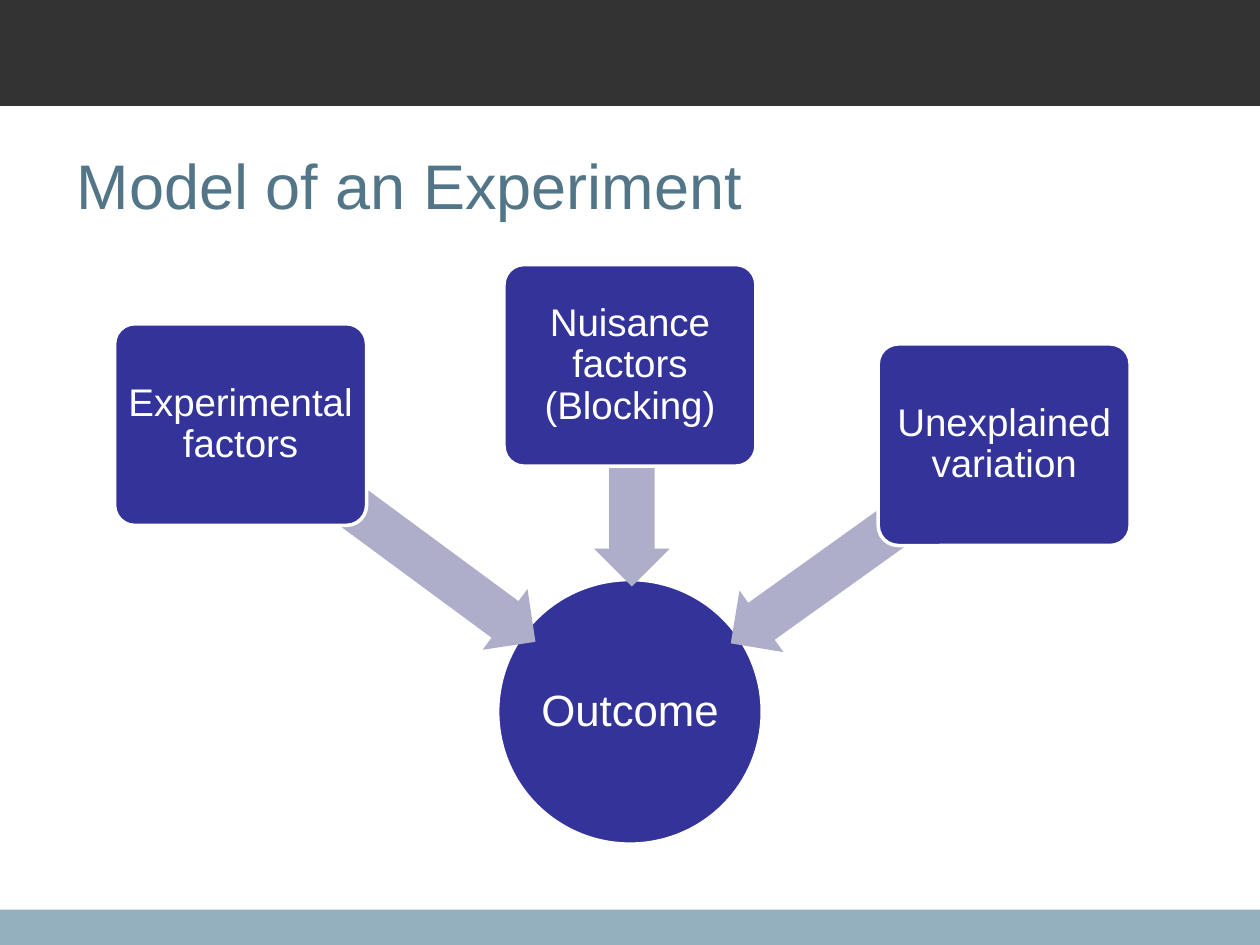
from pptx import Presentation
from pptx.dml.color import RGBColor
from pptx.enum.shapes import MSO_SHAPE as Shape
from pptx.enum.text import MSO_ANCHOR as Anchor, PP_ALIGN as Align
from pptx.util import Inches, Pt

TITLE_ONLY = 5


def color(hex_value):
    return RGBColor.from_string(hex_value)


class SlideBuilder:
    FONT = "Arial"
    WHITE, NAVY, LAVENDER = "FFFFFF", "333399", "AEAECA"
    CHARCOAL, MIST, TEAL = "333333", "94B0BE", "527688"

    def __init__(self, presentation):
        self.slide = presentation.slides.add_slide(
            presentation.slide_layouts[TITLE_ONLY])

    def add_shape(self, kind, position, fill, outline=None, adjustments=()):
        shape = self.slide.shapes.add_shape(kind, *map(Inches, position))
        shape.shadow.inherit = False
        shape.fill.solid()
        shape.fill.fore_color.rgb = color(fill)
        if outline:
            shape.line.color.rgb = color(outline)
            shape.line.width = Pt(2)
        else:
            shape.line.fill.background()
        for index, value in enumerate(adjustments):
            shape.adjustments[index] = value
        return shape

    def set_text(self, shape, text, size, text_color, align, spacing=1.0, inset=0.1):
        frame = shape.text_frame
        frame_format = {"word_wrap": True, "vertical_anchor": Anchor.MIDDLE}
        for side in ("left", "top", "right", "bottom"):
            frame_format[f"margin_{side}"] = Inches(inset)
        for name, value in frame_format.items():
            setattr(frame, name, value)
        frame.text = text
        paragraph = frame.paragraphs[0]
        paragraph.alignment = align
        paragraph.line_spacing = spacing
        for name, value in {"name": self.FONT, "size": Pt(size)}.items():
            setattr(paragraph.font, name, value)
        paragraph.font.color.rgb = color(text_color)

    def band(self, top, height, fill):
        self.add_shape(Shape.RECTANGLE, (0, top, 10, height), fill)

    def title(self, text, position):
        title = self.slide.shapes.title
        for name, value in zip(("left", "top", "width", "height"), position):
            setattr(title, name, Inches(value))
        self.set_text(title, text, 36, self.TEAL, Align.LEFT)

    def outcome(self, text, left, top, diameter):
        circle = self.add_shape(Shape.OVAL, (left, top, diameter, diameter),
                                self.NAVY, self.WHITE)
        self.set_text(circle, text, 25, self.WHITE, Align.CENTER, 0.9, 0.02)

    def arrow(self, left, top, length, rotation):
        arrow = self.add_shape(Shape.LEFT_ARROW, (left, top, length, 0.6),
                               self.LAVENDER, adjustments=(0.6, 0.5))
        arrow.rotation = rotation

    def factor(self, text, left, top):
        box = self.add_shape(Shape.ROUNDED_RECTANGLE, (left, top, 2, 1.6),
                             self.NAVY, self.WHITE, (0.1,))
        self.set_text(box, text, 22, self.WHITE, Align.CENTER, 0.9, 0.05)


def main():
    presentation = Presentation()
    presentation.slide_width = Inches(10)
    presentation.slide_height = Inches(7.5)
    builder = SlideBuilder(presentation)

    # Bands and title
    builder.band(7.22, 0.28, builder.MIST)
    builder.band(0, 0.84, builder.CHARCOAL)
    builder.title("Model of an Experiment", (0.51, 0.84, 9, 1.25))

    # Outcome, then each factor over the tail of its arrow
    builder.outcome("Outcome", 3.95, 4.6, 2.1)
    factors = [
        ("Experimental factors", (0.91, 2.57), (1.38, 3.85, 3.18, 216.4)),
        ("Nuisance factors (Blocking)", (4, 2.1), (4.21, 3.55, 1.61, 270)),
        ("Unexplained variation", (6.97, 2.73), (5.57, 4.09, 2.46, 324.4)),
    ]
    for text, corner, arrow in factors:
        builder.arrow(*arrow)
        builder.factor(text, *corner)

    presentation.save("out.pptx")


if __name__ == "__main__":
    main()
